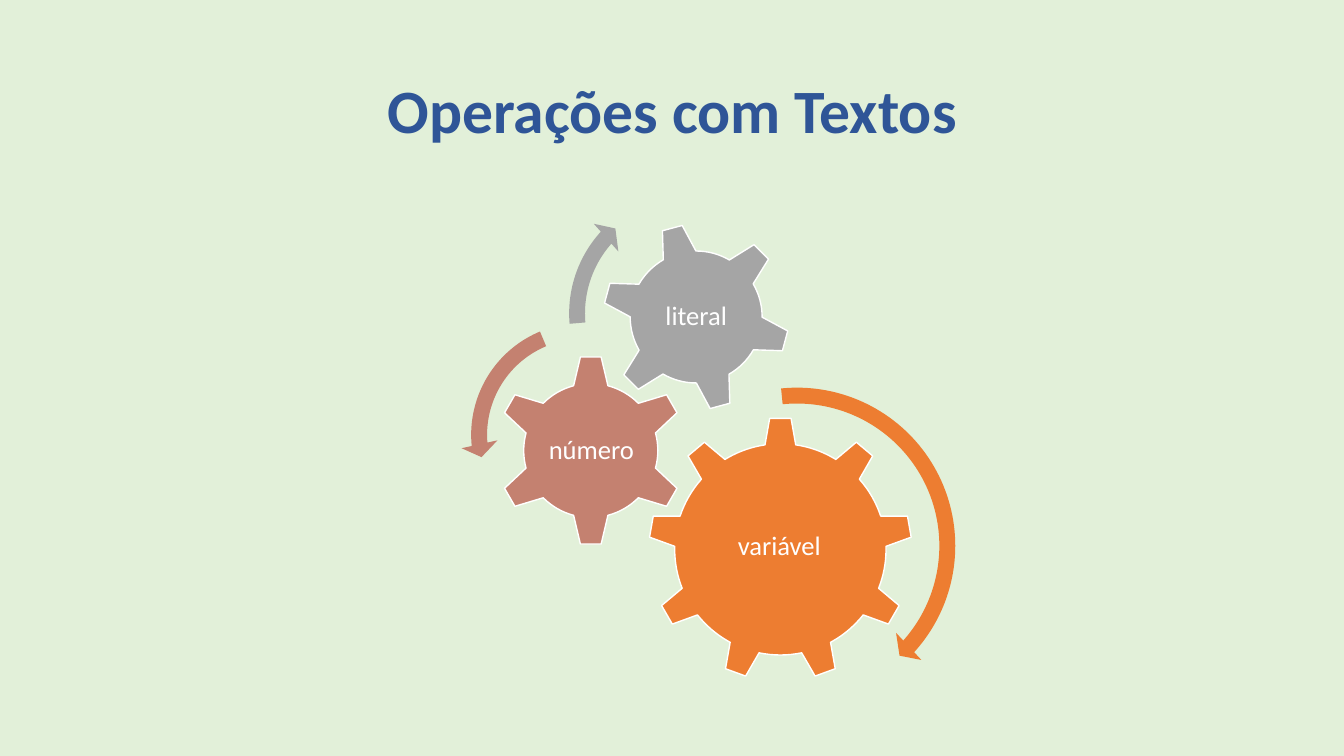
import pptx
import pptx.util
import pptx.dml.color
import pptx.enum.shapes
import pptx.enum.text

Inches = pptx.util.Inches
SHAPE = pptx.enum.shapes.MSO_SHAPE

COLORS = {
    "background": "E2F0D9",
    "title": "2F5597",
    "white": "FFFFFF",
    "variable": "ED7D31",
    "number": "C48170",
    "literal": "A5A5A5",
}

# kind, left, top, size, rotation, colour
GEARS = [
    (SHAPE.GEAR_9, 6.43, 4.14, 2.62, 0, "variable"),
    (SHAPE.GEAR_6, 4.91, 3.52, 1.9, 0, "number"),
    (SHAPE.GEAR_6, 5.97, 2.21, 1.87, 345, "literal"),
]

# wording, box
LABELS = [
    ("variável", (6.95, 4.75, 1.56, 1.35)),
    ("número", (5.39, 4, 0.95, 0.94)),
    ("literal", (6.38, 2.62, 1.05, 1.05)),
]

# kind, left, top, size, colour, adjustments
ARROWS = [
    (SHAPE.CIRCULAR_ARROW, 6.23, 3.74, 3.35, "variable",
     (0.047, 2.99, 25.198, 158.534, 0.055)),
    (SHAPE.LEFT_CIRCULAR_ARROW, 4.57, 3.1, 2.43, "number",
     (0.065, 4.3, 104.891, 148.378, 0.075)),
    (SHAPE.CIRCULAR_ARROW, 5.54, 1.8, 2.62, "literal",
     (0.06, 3.941, 133.138, 105.082, 0.07)),
]


def rgb(name):
    """Return the named colour."""
    return pptx.dml.color.RGBColor.from_string(COLORS[name])


def add_square_shape(shapes, kind, left, top, size, color):
    """Add a filled preset shape, as wide as it is high, without outline."""
    s = shapes.add_shape(kind, Inches(left), Inches(top), Inches(size), Inches(size))
    s.shadow.inherit = False
    s.fill.solid()
    s.fill.fore_color.rgb = rgb(color)
    s.line.fill.background()
    return s


def add_gear(shapes, kind, left, top, size, rotation, color):
    """Add a gear with a thin white outline."""
    s = add_square_shape(shapes, kind, left, top, size, color)
    s.rotation = rotation
    s.line.color.rgb = rgb("white")
    s.line.width = pptx.util.Pt(1)


def add_arrow(shapes, kind, left, top, size, color, adjustments):
    """Add a curved arrow with the given arc and head."""
    s = add_square_shape(shapes, kind, left, top, size, color)
    for i, value in enumerate(adjustments):
        s.adjustments[i] = value


def add_text(shapes, text, box, size, color, margin, bold=False):
    """Add a text box with its line centred both ways."""
    tf = shapes.add_textbox(*map(Inches, box)).text_frame
    tf.word_wrap = True
    tf.vertical_anchor = pptx.enum.text.MSO_ANCHOR.MIDDLE
    tf.margin_left = tf.margin_right = Inches(margin)
    tf.margin_top = tf.margin_bottom = Inches(min(margin, 0.05))
    tf.text = text
    p = tf.paragraphs[0]
    p.alignment = pptx.enum.text.PP_ALIGN.CENTER
    p.line_spacing = 0.9
    r = p.runs[0]
    r.font.name = "Calibri"
    r.font.size = pptx.util.Pt(size)
    r.font.bold = bold
    r.font.color.rgb = rgb(color)


def main():
    """Build the slide and save it."""
    prs = pptx.Presentation()
    prs.slide_width, prs.slide_height = Inches(13.33), Inches(7.5)
    slide = prs.slides.add_slide(prs.slide_layouts[6])
    slide.background.fill.solid()
    slide.background.fill.fore_color.rgb = rgb("background")

    add_text(slide.shapes, "Operações com Textos", (0.92, 0.4, 11.5, 1.45),
             44, "title", 0.1, bold=True)
    diagram = slide.shapes.add_group_shape().shapes
    for gear, (text, box) in zip(GEARS, LABELS):
        add_gear(diagram, *gear)
        add_text(diagram, text, box, 19, "white", 0.03)
    for arrow in ARROWS:
        add_arrow(diagram, *arrow)
    prs.save("out.pptx")


main()
